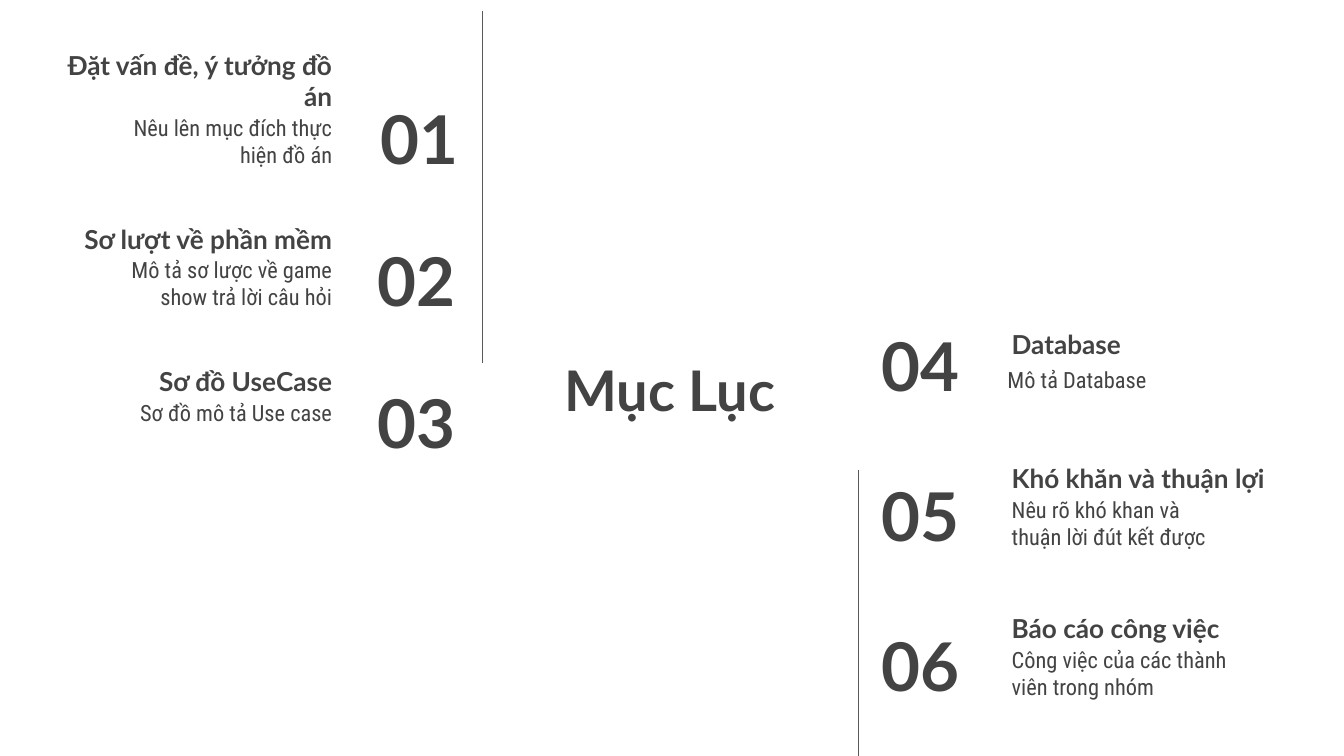
from pptx import Presentation
from pptx.dml.color import RGBColor
from pptx.enum.shapes import MSO_CONNECTOR
from pptx.enum.text import MSO_ANCHOR, PP_ALIGN
from pptx.oxml.ns import qn
from pptx.util import Cm, Pt
from lxml import etree

LEFT, CENTER, RIGHT = PP_ALIGN.LEFT, PP_ALIGN.CENTER, PP_ALIGN.RIGHT
TOP, MIDDLE, BOTTOM = MSO_ANCHOR.TOP, MSO_ANCHOR.MIDDLE, MSO_ANCHOR.BOTTOM
STRAIGHT = MSO_CONNECTOR.STRAIGHT

HEADING = "Mục Lục"

# Number, title, detail, and small departures from the column's grid in cm
LEFT_ITEMS = [
    ("01", "Đặt vấn đề, ý tưởng đồ án", "Nêu lên mục đích thực hiện đồ án",
     {"number_dx": 0.05, "title_width": 6.05}),
    ("02", "Sơ lượt về phần mềm", "Mô tả sơ lược về game show trả lời câu hỏi", {}),
    ("03", "Sơ đồ UseCase", "Sơ đồ mô tả Use case", {}),
]
RIGHT_ITEMS = [
    ("04", "Database", "Mô tả Database",
     {"title_dy": 0.31, "detail_dx": -0.08, "detail_dy": 0.38}),
    ("05", "Khó khăn và thuận lợi", "Nêu rõ khó khan và thuận lời đút kết được", {}),
    ("06", "Báo cáo công việc", "Công việc của các thành viên trong nhóm", {}),
]

# Edges are the side the text is aligned to; offsets are from the number's top
COLUMNS = [
    {"items": LEFT_ITEMS, "align": RIGHT, "top": 1.8, "step": 2.69,
     "number_edge": 8.86, "number_width": 3.07, "text_edge": 6.53,
     "title_offset": -1.03, "detail_offset": 0.11},
    {"items": RIGHT_ITEMS, "align": LEFT, "top": 6.1, "step": 2.83,
     "number_edge": 16.41, "number_width": 2.97, "text_edge": 18.87,
     "title_offset": -0.95, "detail_offset": 0.2},
]
ROW_HEIGHT, TITLE_WIDTH, DETAIL_WIDTH = 1.6, 5.49, 4.65

# x, top, bottom
RULES = [(9.12, 0.2, 6.86), (16.23, 8.89, 14.53)]

THEME = {
    "ink": RGBColor(0x43, 0x43, 0x43),
    "rule": RGBColor(0x59, 0x59, 0x59),
    "rule_width": Pt(0.75),
    "inset": Cm(0.25),
    "heading": {"name": "Lato", "size": Pt(30), "bold": True},
    "number": {"name": "Lato", "size": Pt(36), "bold": True},
    "title": {"name": "Lato", "size": Pt(14), "bold": True},
    "detail": {"name": "Roboto Condensed", "size": Pt(12), "bold": False},
}
ANCHORS = {"heading": MIDDLE, "number": MIDDLE, "title": BOTTOM, "detail": TOP}


def add_text(s, text, role, align, left, top, width, height=ROW_HEIGHT):
    tf = s.shapes.add_textbox(Cm(left), Cm(top), Cm(width), Cm(height)).text_frame
    frame = {"word_wrap": True, "vertical_anchor": ANCHORS[role]}
    for side in ("left", "right", "top", "bottom"):
        frame[f"margin_{side}"] = THEME["inset"]
    for name, value in frame.items():
        setattr(tf, name, value)
    p = tf.paragraphs[0]
    p.alignment = align
    r = p.add_run()
    r.text = text
    for name, value in THEME[role].items():
        setattr(r.font, name, value)
    r.font.color.rgb = THEME["ink"]


def add_column(s, column):
    align = column["align"]
    for row, (number, title, detail, nudge) in enumerate(column["items"]):
        top = column["top"] + row * column["step"]
        parts = [
            ("number", number, column["number_edge"], column["number_width"], 0),
            ("title", title, column["text_edge"],
             nudge.get("title_width", TITLE_WIDTH), column["title_offset"]),
            ("detail", detail, column["text_edge"], DETAIL_WIDTH,
             column["detail_offset"]),
        ]
        for role, text, edge, width, offset in parts:
            left = edge - width if align == RIGHT else edge
            add_text(s, text, role, align,
                     left + nudge.get(f"{role}_dx", 0),
                     top + offset + nudge.get(f"{role}_dy", 0), width)


def add_rule(s, x, top, bottom):
    rule = s.shapes.add_connector(STRAIGHT, Cm(x), Cm(top), Cm(x), Cm(bottom))
    rule.line.color.rgb = THEME["rule"]
    rule.line.width = THEME["rule_width"]
    etree.SubElement(rule._element.spPr, qn("a:effectLst"))


def main():
    prs = Presentation()
    prs.slide_width, prs.slide_height = Cm(25.4), Cm(14.29)
    s = prs.slides.add_slide(prs.slide_layouts[6])
    add_text(s, HEADING, "heading", CENTER, 9.37, 6.05, 6.58, 2.62)
    for column in COLUMNS:
        add_column(s, column)
    for rule in RULES:
        add_rule(s, *rule)
    prs.save("out.pptx")


if __name__ == "__main__":
    main()
